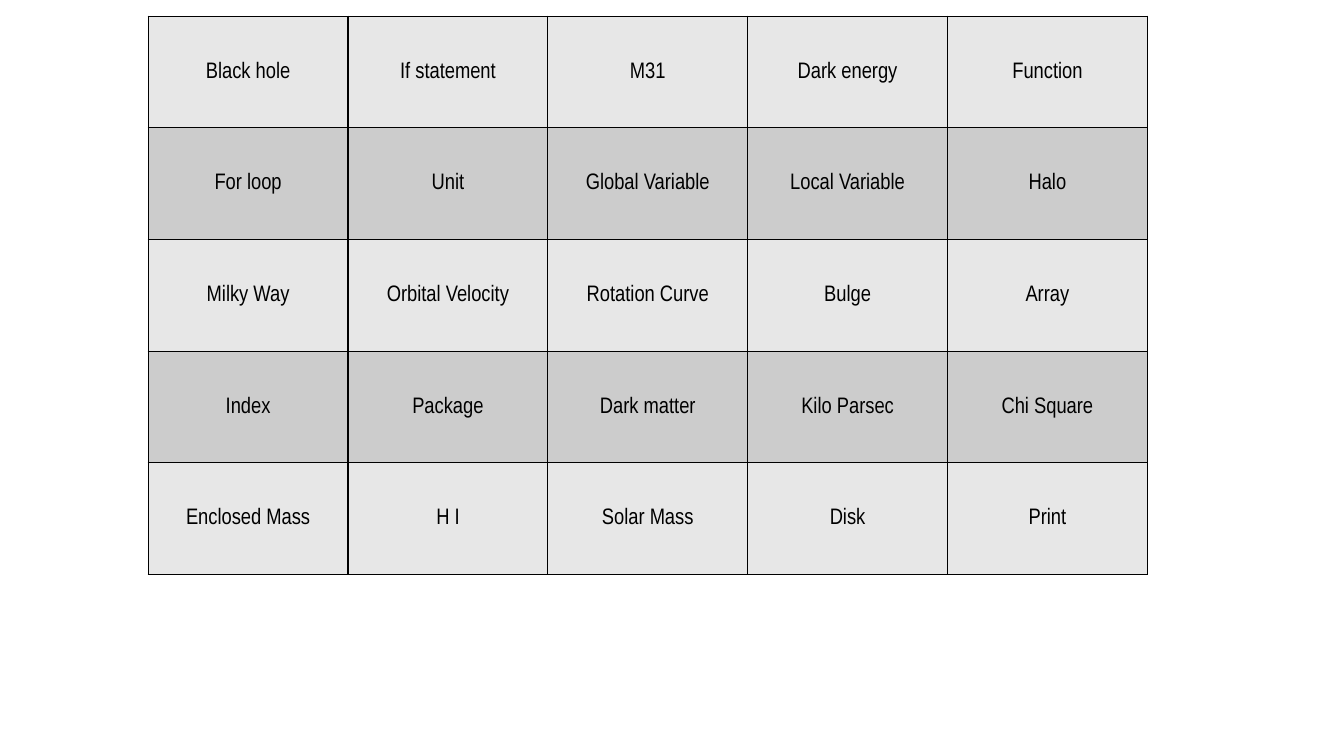
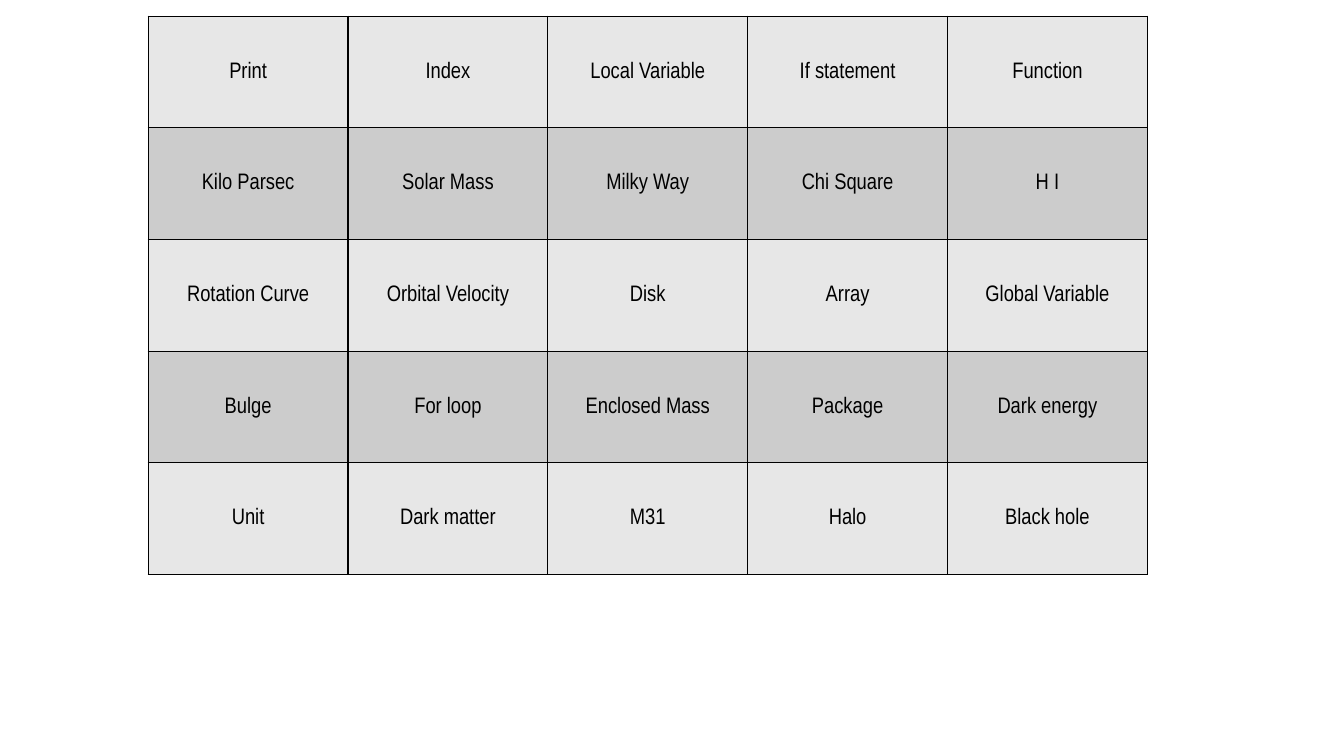
"""Build two bingo cards of astronomy and programming terms."""
import dataclasses

import pptx
import pptx.dml.color
import pptx.enum.text
import pptx.oxml
import pptx.oxml.ns
import pptx.util

CARDS = [
    [
        ["Black hole", "If statement", "M31", "Dark energy", "Function"],
        ["For loop", "Unit", "Global Variable", "Local Variable", "Halo"],
        ["Milky Way", "Orbital Velocity", "Rotation Curve", "Bulge", "Array"],
        ["Index", "Package", "Dark matter", "Kilo Parsec", "Chi Square"],
        ["Enclosed Mass", "H I", "Solar Mass", "Disk", "Print"],
    ],
    [
        ["Print", "Index", "Local Variable", "If statement", "Function"],
        ["Kilo Parsec", "Solar Mass", "Milky Way", "Chi Square", "H I"],
        ["Rotation Curve", "Orbital Velocity", "Disk", "Array", "Global Variable"],
        ["Bulge", "For loop", "Enclosed Mass", "Package", "Dark energy"],
        ["Unit", "Dark matter", "M31", "Halo", "Black hole"],
    ],
]


@dataclasses.dataclass(frozen=True)
class Theme:
    """Colours, type and lengths shared by the cards."""
    font: str = "Arial Narrow"
    size: int = 16
    ink: str = "000000"
    bands: tuple = ("E7E7E7", "CCCCCC")
    border: int = 1
    inset: float = 0.01
    slide: tuple = (13.33, 7.5)
    card: tuple = (1.47, 0.16, 9.91, 5.54)


THEME = Theme()


def write(cell, words, *, size=THEME.size, font=THEME.font, color=THEME.ink,
          align=pptx.enum.text.PP_ALIGN.CENTER):
    """Put formatted text in the middle of a cell."""
    cell.vertical_anchor = pptx.enum.text.MSO_ANCHOR.MIDDLE
    cell.margin_left = cell.margin_top = cell.margin_right = pptx.util.Inches(THEME.inset)
    cell.margin_bottom = 0
    paragraph = cell.text_frame.paragraphs[0]
    paragraph.alignment = align
    run = paragraph.add_run()
    run.text = words
    run.font.size = pptx.util.Pt(size)
    run.font.name = font
    run.font.color.rgb = pptx.dml.color.RGBColor.from_string(color)


def outline(cell):
    """Draw the four borders of a cell."""
    properties = cell._tc.get_or_add_tcPr()
    for side in ("lnL", "lnR", "lnT", "lnB"):
        properties.append(pptx.oxml.parse_xml(
            f'<a:{side} {pptx.oxml.ns.nsdecls("a")} w="{pptx.util.Pt(THEME.border)}">'
            f'<a:solidFill><a:srgbClr val="{THEME.ink}"/></a:solidFill></a:{side}>'))


def add_card(slide, terms):
    """Add one card whose rows alternate between the band colours."""
    left, top, width, height = map(pptx.util.Inches, THEME.card)
    card = slide.shapes.add_table(len(terms), len(terms[0]), left, top, width, height).table
    card.first_row = card.horz_banding = False
    for row, row_terms in enumerate(terms):
        band = THEME.bands[row % len(THEME.bands)]
        for column, term in enumerate(row_terms):
            cell = card.cell(row, column)
            outline(cell)
            cell.fill.solid()
            cell.fill.fore_color.rgb = pptx.dml.color.RGBColor.from_string(band)
            write(cell, term)


def main():
    """Build and save the deck."""
    deck = pptx.Presentation()
    deck.slide_width, deck.slide_height = map(pptx.util.Inches, THEME.slide)
    blank = deck.slide_layouts.get_by_name("Blank")
    for terms in CARDS:
        add_card(deck.slides.add_slide(blank), terms)
    deck.save("out.pptx")


if __name__ == "__main__":
    main()
